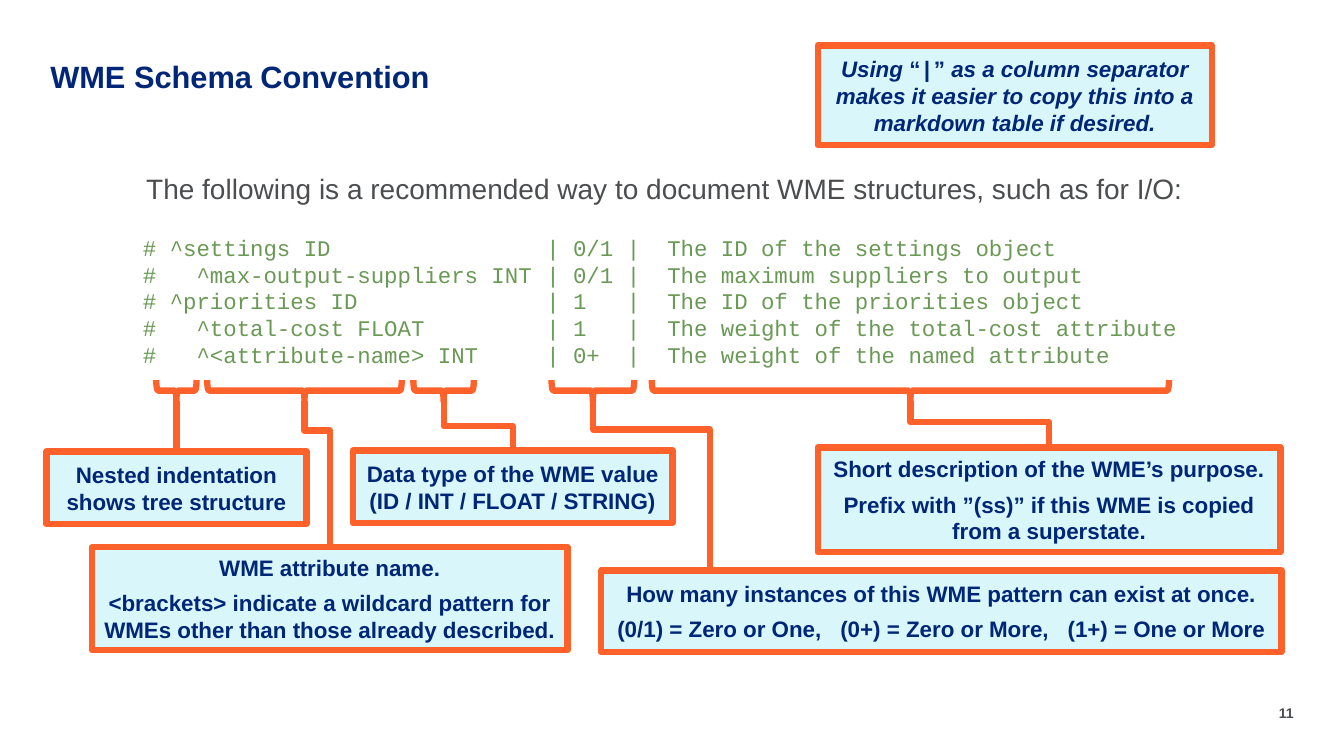
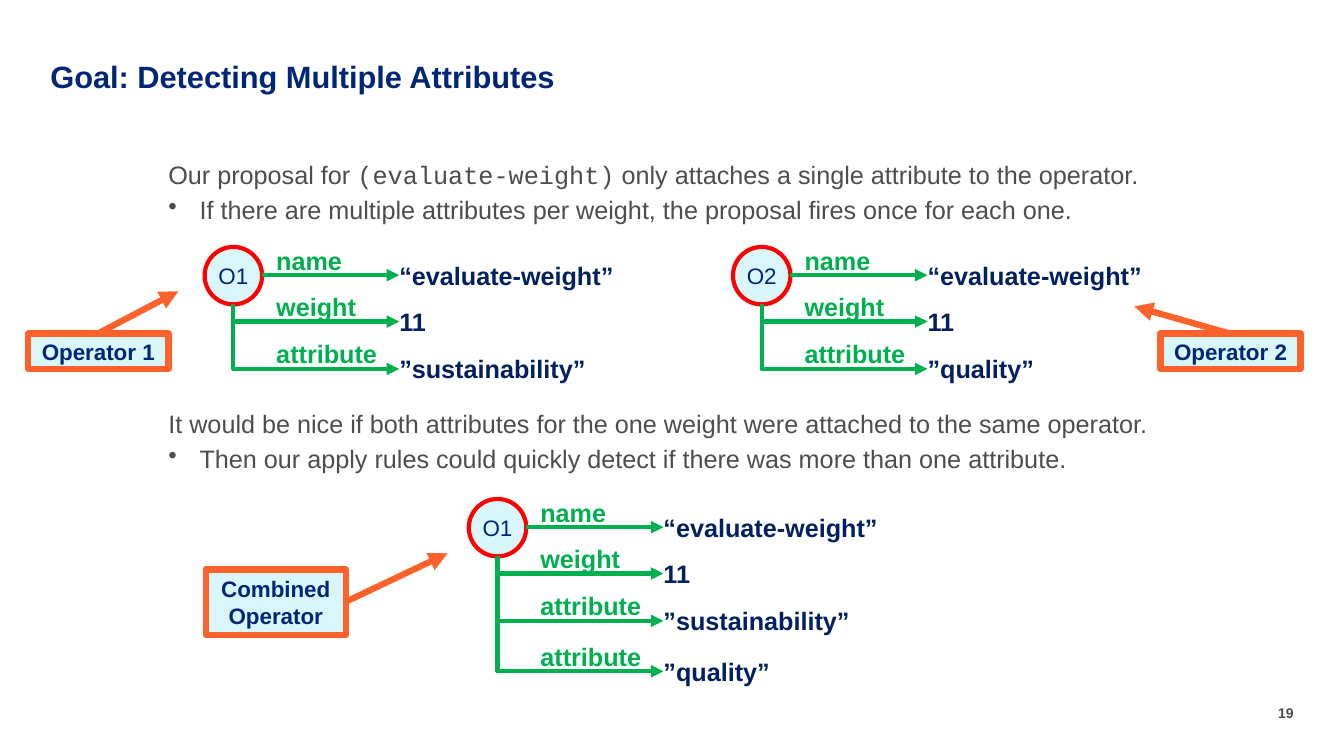
from dataclasses import dataclass

from lxml.etree import SubElement
from pptx import Presentation
from pptx.dml.color import RGBColor
from pptx.enum.shapes import MSO_CONNECTOR, MSO_SHAPE
from pptx.enum.text import MSO_ANCHOR, PP_ALIGN
from pptx.oxml.ns import qn
from pptx.util import Inches, Pt


@dataclass(frozen=True)
class Theme:
    font: str = "Arial"
    mono: str = "Courier New"
    navy: str = "002677"
    value: str = "002060"
    gray: str = "4B4D4F"
    code: str = "6A9955"
    pale: str = "D9F6FA"
    orange: str = "FF612B"
    green: str = "00B050"
    red: str = "FF0000"
    title_size: int = 22
    intro_size: int = 20
    body_size: int = 18
    label_size: int = 16
    number_size: int = 10
    callout_line: float = 4.5
    tree_line: float = 3
    paragraph_gap: int = 6


class Deck:
    def __init__(self, theme):
        self.theme = theme
        self.presentation = Presentation()
        self.presentation.slide_width = Inches(13.33)
        self.presentation.slide_height = Inches(7.5)
        self.slide = None

    def add_slide(self, title, number):
        t = self.theme
        self.slide = self.presentation.slides.add_slide(
            self.presentation.slide_layouts[6])
        self.text(0.5, 0.61, 10.5, 0.33, [title], t.title_size, t.navy,
                  bold=True, spacing=0.9)
        self.text(12.33, 6.99, 0.5, 0.17, [number], t.number_size, t.gray,
                  bold=True, align=PP_ALIGN.RIGHT)

    def set_text(self, frame, paragraphs, size, color, bold=False, font=None,
                 align=PP_ALIGN.LEFT, spacing=None, gap=None, bullets=(),
                 tabs=(), insets=(0, 0)):
        frame.word_wrap = True
        frame.margin_left = frame.margin_right = Inches(insets[0])
        frame.margin_top = frame.margin_bottom = Inches(insets[1])
        gap = self.theme.paragraph_gap if gap is None else gap
        for index, content in enumerate(paragraphs):
            paragraph = frame.paragraphs[0] if index == 0 else frame.add_paragraph()
            paragraph.alignment = align
            if spacing:
                paragraph.line_spacing = spacing
            if index:
                paragraph.space_before = Pt(gap)
            properties = paragraph._p.get_or_add_pPr()
            if index in bullets:
                properties.set("marL", str(Inches(0.31)))
                properties.set("indent", str(-Inches(0.31)))
                SubElement(properties, qn("a:buChar"), char="•")
            if tabs:
                stops = SubElement(properties, qn("a:tabLst"))
                for stop in tabs:
                    SubElement(stops, qn("a:tab"), pos=str(Inches(stop)), algn="l")
            runs = [(content, {})] if isinstance(content, str) else content
            for words, style in runs:
                run = paragraph.add_run()
                run.text = words
                run.font.name = style.get("font", font or self.theme.font)
                run.font.size = Pt(size)
                run.font.bold = bold
                run.font.italic = style.get("italic", False)
                run.font.color.rgb = RGBColor.from_string(color)
                if "tracking" in style:
                    run._r.get_or_add_rPr().set("spc", str(style["tracking"]))

    def text(self, left, top, width, height, paragraphs, size, color, **style):
        box = self.slide.shapes.add_textbox(
            Inches(left), Inches(top), Inches(width), Inches(height))
        self.set_text(box.text_frame, paragraphs, size, color, **style)
        return box

    def outline(self, item, color, width):
        item.line.color.rgb = RGBColor.from_string(color)
        item.line.width = Pt(width)
        SubElement(item.line._get_or_add_ln(), qn("a:round"))

    def shape(self, kind, left, top, width, height, fill, color, weight):
        shape = self.slide.shapes.add_shape(
            kind, Inches(left), Inches(top), Inches(width), Inches(height))
        shape.shadow.inherit = False
        if fill:
            shape.fill.solid()
            shape.fill.fore_color.rgb = RGBColor.from_string(fill)
        else:
            shape.fill.background()
        self.outline(shape, color, weight)
        return shape

    def callout(self, left, top, width, height, paragraphs):
        t = self.theme
        box = self.shape(MSO_SHAPE.RECTANGLE, left, top, width, height,
                         t.pale, t.orange, t.callout_line)
        box.text_frame.vertical_anchor = MSO_ANCHOR.MIDDLE
        self.set_text(box.text_frame, paragraphs, t.label_size, t.navy, bold=True,
                      align=PP_ALIGN.CENTER, insets=(0.1, 0.05))
        return box

    def brace(self, center, span, tip, depth=0.21):
        t = self.theme
        brace = self.shape(MSO_SHAPE.LEFT_BRACE, center - depth / 2,
                           tip - depth / 2 - span / 2, depth, span,
                           None, t.orange, t.callout_line)
        brace.rotation = 270
        return brace

    def finish_line(self, connector, color, weight, arrow):
        self.outline(connector, color, weight)
        if arrow:
            SubElement(connector.line._get_or_add_ln(), qn("a:tailEnd"), type="triangle")
        SubElement(connector._element.spPr, qn("a:effectLst"))

    def line(self, start, end, color, weight, arrow=True):
        connector = self.slide.shapes.add_connector(
            MSO_CONNECTOR.STRAIGHT, *map(Inches, (*start, *end)))
        self.finish_line(connector, color, weight, arrow)

    def elbow(self, start, end, color, weight, source=None, source_site=0,
              target=None, turn=None, arrow=False):
        connector = self.slide.shapes.add_connector(
            MSO_CONNECTOR.ELBOW, *map(Inches, (*start, *end)))
        if source is not None:
            connector.begin_connect(source, 0)
            connector._element.find(".//" + qn("a:stCxn")).set("idx", str(source_site))
        connector.end_connect(target, 1)
        across, down = end[0] - start[0], end[1] - start[1]
        length, breadth = abs(down), abs(across)
        connector.left = Inches((start[0] + end[0] - length) / 2)
        connector.top = Inches((start[1] + end[1] - breadth) / 2)
        connector.width, connector.height = Inches(length), Inches(breadth)
        properties = connector._element.spPr
        frame = properties.find(qn("a:xfrm"))
        frame.set("rot", "16200000")
        frame.set("flipH", str(int(down > 0)))
        frame.set("flipV", str(int(across < 0)))
        geometry = properties.find(qn("a:prstGeom"))
        if turn is None:
            geometry.set("prst", "bentConnector2")
        else:
            share = round((turn - start[1]) / down * 100000)
            SubElement(geometry.find(qn("a:avLst")), qn("a:gd"),
                       name="adj1", fmla=f"val {share}")
        self.finish_line(connector, color, weight, arrow)

    def explain(self, box_place, paragraphs, center, span, turn=None, stem=None):
        t = self.theme
        tip = 3.98
        left, top, width, _ = box_place
        box = self.callout(*box_place, paragraphs)
        brace = self.brace(center, span, tip)
        if turn is None:
            self.line((center, top), (center, tip), t.orange, t.callout_line, arrow=False)
            return
        self.elbow((stem or left + width / 2, top), (center, tip), t.orange,
                   t.callout_line, source=None if stem else box,
                   target=brace, turn=turn)

    def tree(self, left, top, node, branches):
        t = self.theme
        diameter = 0.57
        middle = left + diameter / 2
        circle = self.shape(MSO_SHAPE.OVAL, left, top, diameter, diameter,
                            t.pale, t.red, t.tree_line)
        circle.text_frame.vertical_anchor = MSO_ANCHOR.MIDDLE
        self.set_text(circle.text_frame, [node], t.label_size, t.navy,
                      align=PP_ALIGN.CENTER, insets=(0, 0.05))
        for index, (offset, (label, value)) in enumerate(
                zip((0.28, 0.74, 1.21, 1.71), branches)):
            level = top + offset
            tip = (left + 1.93, level)
            self.text(left + 0.71, level - 0.3, 1.13, 0.3, [label],
                      t.body_size, t.green, bold=True)
            held = self.text(tip[0], level - 0.15, 2.19, 0.3, [value],
                             t.body_size, t.value, bold=True)
            if index == 0:
                self.line((left + diameter, level), tip, t.green, t.tree_line)
            else:
                self.elbow((middle, top + diameter), tip, t.green, t.tree_line,
                           source=circle, source_site=4, target=held, arrow=True)


def build_schema(deck):
    t = deck.theme
    deck.add_slide("WME Schema Convention", "11")
    deck.text(1.45, 1.7, 10.44, 0.6, [
        "The following is a recommended way to document WME structures, such as for I/O:",
    ], t.intro_size, t.gray)
    schema = [
        ("# ^settings ID", "0/1", "The ID of the settings object"),
        ("#   ^max-output-suppliers INT", "0/1", "The maximum suppliers to output"),
        ("# ^priorities ID", "1", "The ID of the priorities object"),
        ("#   ^total-cost FLOAT", "1", "The weight of the total-cost attribute"),
        ("#   ^<attribute-name> INT", "0+", "The weight of the named attribute"),
    ]
    deck.text(1.32, 2.27, 10.7, 1.45,
              [f"{name}\t| {count}\t|\t{purpose}" for name, count, purpose in schema],
              t.label_size, t.code, font=t.mono, gap=0, tabs=(4, 4.8, 5.2),
              insets=(0.1, 0.05))
    wide_space = (" ", {"tracking": 890})
    deck.explain((0.46, 4.48, 2.58, 0.72),
                 ["Nested indentation shows tree structure"], 1.75, 0.4)
    deck.explain((3.5, 4.47, 3.17, 0.72),
                 ["Data type of the WME value (ID / INT / FLOAT / STRING)"],
                 4.4, 0.6, turn=4.23)
    deck.explain((8.11, 4.44, 4.59, 1.04), [
        "Short description of the WME’s purpose.",
        "Prefix with ”(ss)” if this WME is copied from a superstate.",
    ], 9.03, 5.13, turn=4.19)
    deck.explain((5.96, 5.66, 6.75, 0.81), [
        "How many instances of this WME pattern can exist at once.",
        [("(0/1) = Zero or One,", {}), wide_space, ("(0+) = Zero or More,", {}),
         wide_space, ("(1+) = One or More", {})],
    ], 5.88, 0.82, turn=4.26, stem=7.04)
    deck.explain((0.91, 5.43, 4.72, 1.02), [
        "WME attribute name.",
        "<brackets> indicate a wildcard pattern for WMEs other than those already described.",
    ], 3.02, 1.93, turn=4.27)
    slanted = {"italic": True}
    deck.callout(8.11, 0.45, 3.91, 0.99, [[
        ("Using ", slanted), ("“", {}), ("|", {"font": t.mono}), ("”", {}),
        (" as a column separator makes it easier to copy this into a markdown "
         "table if desired.", slanted),
    ]])


def build_goal(deck):
    t = deck.theme
    deck.add_slide("Goal: Detecting Multiple Attributes", "19")
    statements = [
        (1.61, [("Our proposal for ", {}), ("(evaluate-weight)", {"font": t.mono}),
                (" only attaches a single attribute to the operator.", {})],
         "If there are multiple attributes per weight, the proposal fires once for each one."),
        (4.08, "It would be nice if both attributes for the one weight were attached "
               "to the same operator.",
         "Then our apply rules could quickly detect if there was more than one attribute."),
    ]
    for top, statement, detail in statements:
        deck.text(1.67, top, 10, 0.65, [statement, detail], t.body_size, t.gray,
                  spacing=0.9, bullets=(1,))
    shared = [("name", "“evaluate-weight”"), ("weight", "11")]
    sustainability = ("attribute", "”sustainability”")
    quality = ("attribute", "”quality”")
    deck.tree(2.03, 2.45, "O1", [*shared, sustainability])
    deck.tree(7.27, 2.45, "O2", [*shared, quality])
    deck.tree(4.65, 4.95, "O1", [*shared, sustainability, quality])
    operators = [
        ("Operator 1", 0.28, 3.31, 0.35, (0.97, 3.31), (1.77, 2.89)),
        ("Operator 2", 11.51, 3.31, 0.35, (12.2, 3.31), (11.25, 3.04)),
        ("Combined Operator", 2.04, 5.65, 0.65, (3.43, 5.97), (4.44, 5.49)),
    ]
    for name, left, top, height, start, end in operators:
        deck.callout(left, top, 1.39, height, [name])
        deck.line(start, end, t.orange, t.callout_line)


def main():
    deck = Deck(Theme())
    build_schema(deck)
    build_goal(deck)
    deck.presentation.save("out.pptx")


if __name__ == "__main__":
    main()
